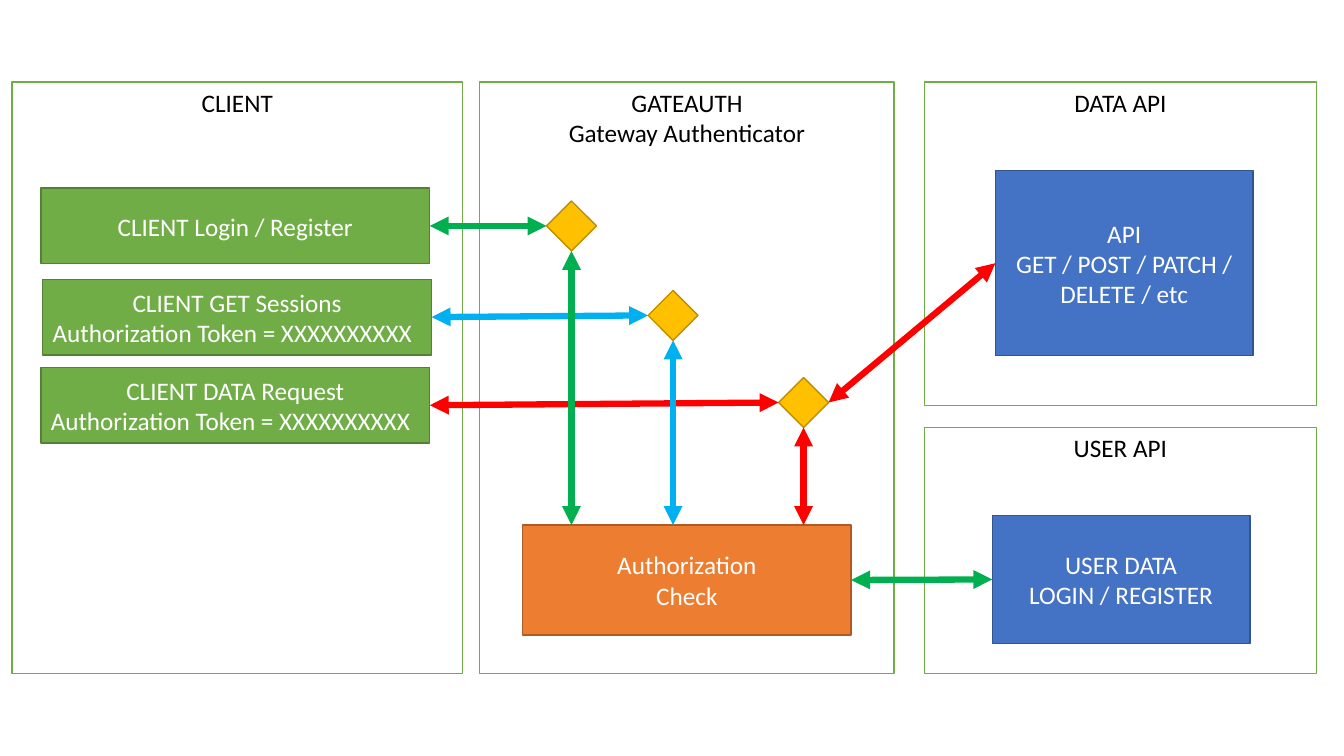
from lxml.etree import SubElement
from pptx import Presentation
from pptx.dml.color import RGBColor
from pptx.enum.shapes import MSO_CONNECTOR as LINK, MSO_SHAPE as SHAPE
from pptx.enum.text import MSO_ANCHOR as ANCHOR, PP_ALIGN as ALIGN
from pptx.oxml.ns import qn
from pptx.util import Pt

COLORS = {
    "white": "FFFFFF", "black": "000000",
    "green": "70AD47", "green_edge": "538035",
    "blue": "4472C4", "blue_edge": "325491",
    "orange": "ED7D31", "orange_edge": "AF5C24",
    "gold": "FFC000", "gold_edge": "BD8E00",
    "login": "00B050", "sessions": "00B0F0", "data": "FF0000",
}
TOP, LEFT, BOTTOM, RIGHT = range(4)
TOKEN = "Authorization Token = XXXXXXXXXX"


def color(name):
    return RGBColor.from_string(COLORS[name])


def add_block(page, kind, place, fill, edge):
    block = page.shapes.add_shape(kind, *map(Pt, place))
    block.shadow.inherit = False
    block.fill.solid()
    block.fill.fore_color.rgb = color(fill)
    block.line.color.rgb = color(edge)
    block.line.width = Pt(1)
    return block


def write(block, lines, ink, anchor):
    frame = block.text_frame
    frame.word_wrap = True
    frame.vertical_anchor = anchor
    for index, line in enumerate(lines):
        para = frame.paragraphs[0] if index == 0 else frame.add_paragraph()
        para.text = line
        para.alignment = ALIGN.LEFT if line == TOKEN else ALIGN.CENTER
        para.font.name = "Calibri"
        para.font.size = Pt(18)
        para.font.color.rgb = color(ink)


def add_panel(page, place, *lines):
    panel = add_block(page, SHAPE.RECTANGLE, place, "white", "green")
    write(panel, lines, "black", ANCHOR.TOP)


def add_box(page, place, fill, *lines):
    box = add_block(page, SHAPE.RECTANGLE, place, fill, fill + "_edge")
    write(box, lines, "white", ANCHOR.MIDDLE)
    return box


def add_gate(page, center_x, center_y, size=35.7):
    place = (center_x - size / 2, center_y - size / 2, size, size)
    return add_block(page, SHAPE.DIAMOND, place, "gold", "gold_edge")


def add_arrow(page, flow, start, start_side, end, end_side=None):
    """Join two shapes; without an end side, drop straight down to the end's top."""
    middle = start.left + start.width // 2
    arrow = page.shapes.add_connector(LINK.STRAIGHT, middle, start.top + start.height,
                                      middle, end.top)
    arrow.begin_connect(start, start_side)
    if end_side is not None:
        arrow.end_connect(end, end_side)
    arrow.line.color.rgb = color(flow)
    arrow.line.width = Pt(4.5)
    outline = arrow.line._get_or_add_ln()
    for tip in ("a:headEnd", "a:tailEnd"):
        SubElement(outline, qn(tip), type="triangle")
    SubElement(arrow._element.spPr, qn("a:effectLst"))


def main():
    deck = Presentation()
    deck.slide_width, deck.slide_height = Pt(960), Pt(540)
    page = deck.slides.add_slide(deck.slide_layouts[6])

    # Panels
    add_panel(page, (8.5, 58.5, 322, 422.5), "CLIENT")
    add_panel(page, (342.7, 58.5, 296, 422.5), "GATEAUTH", "Gateway Authenticator")
    add_panel(page, (660.3, 58.5, 280, 231), "DATA API")
    add_panel(page, (660.3, 305.5, 280, 175.5), "USER API")

    # Services
    check = add_box(page, (373.3, 375, 234.7, 78.6), "orange", "Authorization", "Check")
    data_api = add_box(page, (711, 122, 184, 132), "blue",
                       "API", "GET / POST / PATCH / DELETE / etc")
    user_api = add_box(page, (708.8, 368.2, 184, 91.4), "blue",
                       "USER DATA", "LOGIN / REGISTER")

    # Client requests, each with its gate
    requests = [
        ("data", (29.2, 262.5), (574, 287.5), ("CLIENT DATA Request", TOKEN)),
        ("sessions", (30.5, 199.5), (480.8, 225.3), ("CLIENT GET Sessions", TOKEN)),
        ("login", (29.2, 134.4), (408.2, 161.4), ("CLIENT Login / Register",)),
    ]
    gates = {}
    for flow, corner, center, lines in requests:
        request = add_box(page, (*corner, 277.8, 54), "green", *lines)
        gates[flow] = add_gate(page, *center)
        add_arrow(page, flow, request, RIGHT, gates[flow], LEFT)
        add_arrow(page, flow, gates[flow], BOTTOM, check)

    # Links to the services
    add_arrow(page, "data", gates["data"], RIGHT, data_api, LEFT)
    add_arrow(page, "login", check, RIGHT, user_api, LEFT)

    deck.save("out.pptx")


if __name__ == "__main__":
    main()
